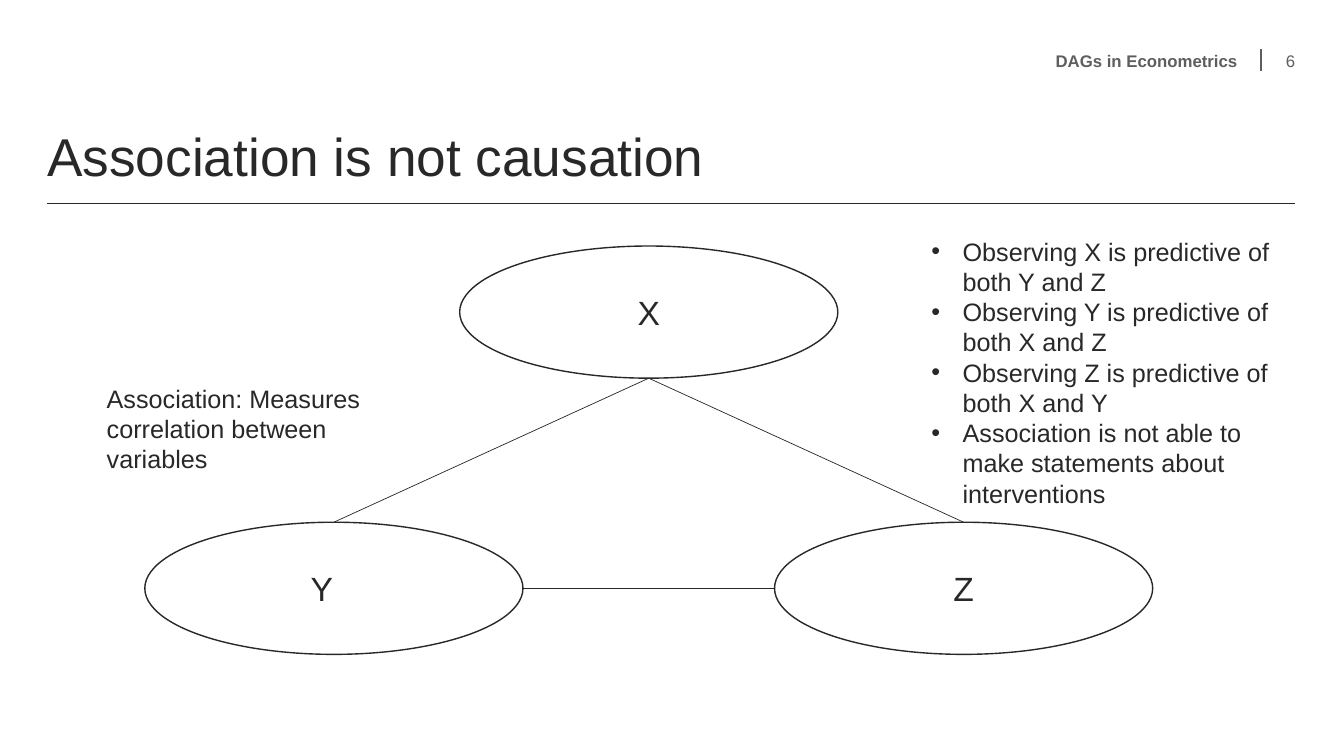
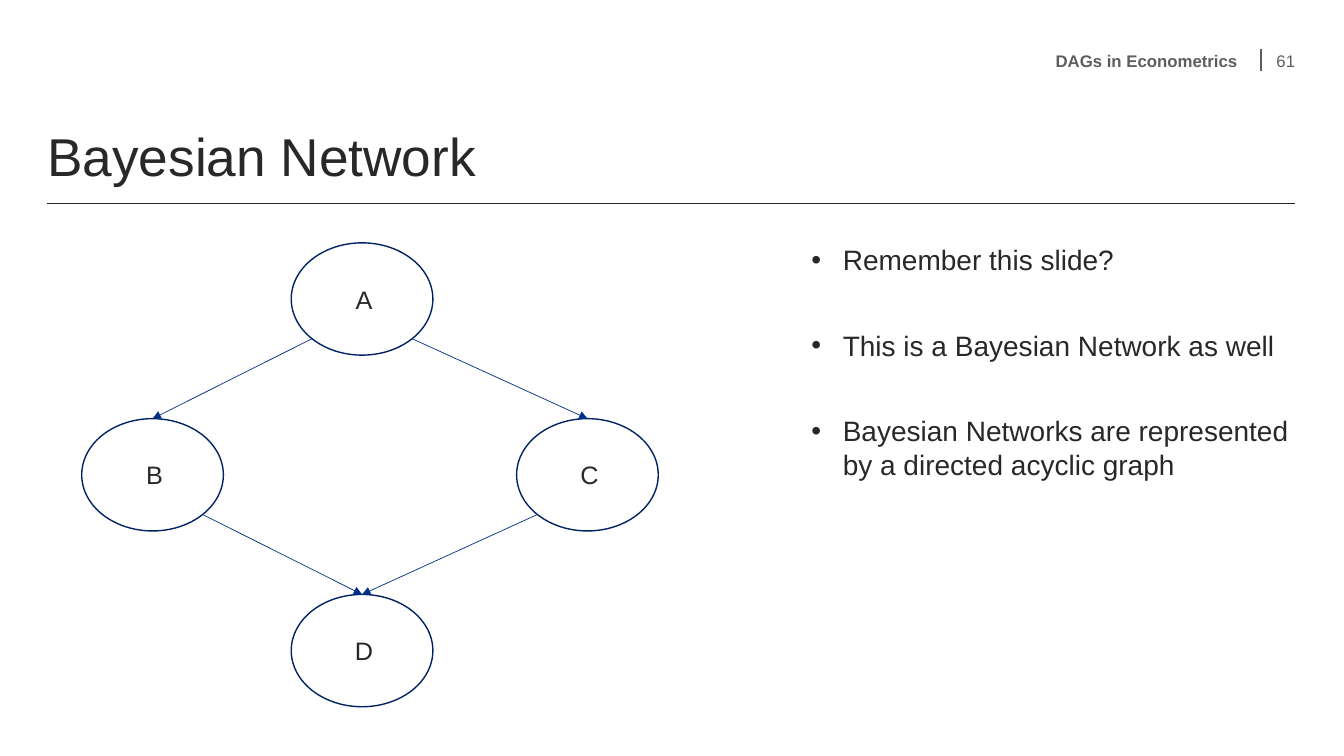
import math

from lxml import etree
from pptx import Presentation
from pptx import util as u
from pptx.dml.color import RGBColor
from pptx.enum import shapes, text
from pptx.oxml import ns

COLOURS = {
    "ink": "282828",
    "grey": "5E5E5E",
    "paper": "FFFFFF",
    "navy": "002363",
    "blue": "002F86",
}
FONT = "Arial"
SITES = {"top": 0, "left": 2, "bottom left": 3, "bottom": 4, "bottom right": 5, "right": 6}
MARGIN, CONTENT_WIDTH = 1.19, 31.45
BULLET_INDENT = 0.79


def colour(name):
    return RGBColor.from_string(COLOURS[name])


def cm_box(*lengths):
    return [u.Cm(length) for length in lengths]


def add_child(parent, tag, **attributes):
    return etree.SubElement(parent, ns.qn(tag), attributes)


def format_text(frame, size, colour_name="ink", bold=False, align=text.PP_ALIGN.LEFT):
    for paragraph in frame.paragraphs:
        paragraph.alignment = align
        for run in paragraph.runs:
            run.font.name = FONT
            run.font.size = u.Pt(size)
            run.font.bold = bold
            run.font.color.rgb = colour(colour_name)


def set_frame(frame, anchor, inset):
    frame.word_wrap = True
    frame.auto_size = text.MSO_AUTO_SIZE.NONE
    frame.vertical_anchor = anchor
    frame.margin_left = frame.margin_right = u.Cm(inset)
    frame.margin_top = frame.margin_bottom = u.Cm(inset / 2)


def add_text(slide, box, lines, size, anchor=text.MSO_ANCHOR.TOP, inset=0.0, **style):
    frame = slide.shapes.add_textbox(*cm_box(*box)).text_frame
    set_frame(frame, anchor, inset)
    frame.text = "\n".join(lines)
    format_text(frame, size, **style)
    return frame


def add_bullets(slide, box, lines, size, inset=0.0, gap=0):
    frame = add_text(slide, box, lines, size, inset=inset)
    indent = u.Cm(BULLET_INDENT)
    for paragraph in frame.paragraphs:
        paragraph.space_after = u.Pt(gap)
        properties = paragraph._p.get_or_add_pPr()
        properties.set("marL", str(indent))
        properties.set("indent", str(-indent))
        add_child(properties, "a:buFont", typeface=FONT)
        add_child(properties, "a:buChar", char="•")


def add_line(slide, start, end, colour_name, width):
    line = slide.shapes.add_connector(
        shapes.MSO_CONNECTOR.STRAIGHT, *cm_box(*start, *end))
    line.line.color.rgb = colour(colour_name)
    line.line.width = u.Pt(width)
    add_child(line._element.spPr, "a:effectLst")
    return line


def add_node(slide, box, label, size, outline, fill=None, nudge=0.0):
    node = slide.shapes.add_shape(shapes.MSO_SHAPE.OVAL, *cm_box(*box))
    node.shadow.inherit = False
    if fill:
        node.fill.solid()
        node.fill.fore_color.rgb = colour(fill)
    else:
        node.fill.background()
    node.line.color.rgb = colour(outline)
    node.line.width = u.Pt(1)
    frame = node.text_frame
    set_frame(frame, text.MSO_ANCHOR.MIDDLE, 0)
    frame.margin_left = u.Cm(max(2 * nudge, 0))
    frame.margin_right = u.Cm(max(-2 * nudge, 0))
    frame.text = label
    format_text(frame, size, align=text.PP_ALIGN.CENTER)
    return node


def site_point(node, site):
    angle = math.radians(-90 - 45 * SITES[site])
    x = node.left + node.width / 2 * (1 + math.cos(angle))
    y = node.top + node.height / 2 * (1 + math.sin(angle))
    return u.Emu(int(x)).cm, u.Emu(int(y)).cm


def join_nodes(slide, source, source_site, target, target_site, colour_name, arrow=False):
    edge = add_line(slide, site_point(source, source_site),
                    site_point(target, target_site), colour_name, 0.5)
    if arrow:
        add_child(edge.line._get_or_add_ln(), "a:tailEnd", type="triangle")
    glue = edge._element.nvCxnSpPr.cNvCxnSpPr
    ends = (("a:stCxn", source, source_site), ("a:endCxn", target, target_site))
    for tag, node, site in ends:
        add_child(glue, tag, id=str(node.shape_id), idx=str(SITES[site]))


def add_header(slide, number):
    middle, right = text.MSO_ANCHOR.MIDDLE, text.PP_ALIGN.RIGHT
    add_text(slide, (11.23, 1.24, 19.96, 0.58), ["DAGs in Econometrics"], 12,
             anchor=middle, colour_name="grey", bold=True, align=right)
    add_line(slide, (31.78, 1.24), (31.78, 1.8), "grey", 1)
    add_text(slide, (31.9, 1.24, 0.74, 0.58), [number], 12,
             anchor=middle, colour_name="grey", align=right)


def start_slide(presentation, title, number):
    slide = presentation.slides.add_slide(presentation.slide_layouts[5])
    heading = slide.shapes.title
    heading.left, heading.top, heading.width, heading.height = cm_box(
        MARGIN, 3.18, CONTENT_WIDTH, 1.55)
    set_frame(heading.text_frame, text.MSO_ANCHOR.BOTTOM, 0)
    heading.text_frame.text = title
    heading.text_frame.paragraphs[0].line_spacing = 0.9
    format_text(heading.text_frame, 38)
    add_line(slide, (MARGIN, 5.13), (MARGIN + CONTENT_WIDTH, 5.13), "ink", 1)
    add_header(slide, number)
    return slide


def add_triangle(slide, left, top, width, height):
    node_width, node_height = 9.53, 3.33
    base = top + height - node_height
    places = {
        "X": (left + (width - node_width) / 2, top, 0),
        "Y": (left, base, -0.3),
        "Z": (left + width - node_width, base, 0),
    }
    nodes = {
        label: add_node(slide, (x, y, node_width, node_height), label, 24,
                        "ink", fill="paper", nudge=nudge)
        for label, (x, y, nudge) in places.items()
    }
    join_nodes(slide, nodes["X"], "bottom", nodes["Y"], "top", "ink")
    join_nodes(slide, nodes["X"], "bottom", nodes["Z"], "top", "ink")
    join_nodes(slide, nodes["Y"], "right", nodes["Z"], "left", "ink")


def add_diamond(slide, left, top, width, height):
    node_width, node_height = 3.57, 2.83
    centre = left + 5.28
    middle = top + (height - node_height) / 2
    places = {
        "A": (centre, top),
        "B": (left, middle),
        "C": (left + width - node_width, middle),
        "D": (centre, top + height - node_height),
    }
    nodes = {
        label: add_node(slide, (x, y, node_width, node_height), label, 18,
                        "navy", nudge=0.05)
        for label, (x, y) in places.items()
    }
    edges = (
        ("A", "bottom left", "B"),
        ("A", "bottom right", "C"),
        ("C", "bottom left", "D"),
        ("B", "bottom right", "D"),
    )
    for source, site, target in edges:
        join_nodes(slide, nodes[source], site, nodes[target], "top", "blue", arrow=True)


def build_association(presentation):
    slide = start_slide(presentation, "Association is not causation", "6")
    add_triangle(slide, 3.65, 6.2, 25.4, 10.29)
    add_text(slide, (2.44, 9.53, 8.5, 2.4),
             ["Association: Measures correlation between variables"], 18, inset=0.25)
    add_bullets(slide, (23.22, 5.82, 9.53, 7.1), [
        "Observing X is predictive of both Y and Z",
        "Observing Y is predictive of both X and Z",
        "Observing Z is predictive of both X and Y",
        "Association is not able to make statements about interventions",
    ], 18, inset=0.25)


def build_network(presentation):
    slide = start_slide(presentation, "Bayesian Network", "61")
    add_bullets(slide, (20.45, 6.12, 12.19, 11.68), [
        "Remember this slide?",
        "This is a Bayesian Network as well",
        "Bayesian Networks are represented by a directed acyclic graph",
    ], 20, gap=37)
    add_diamond(slide, 2.06, 6.12, 14.53, 11.69)


def main():
    presentation = Presentation()
    presentation.slide_width = u.Cm(33.87)
    presentation.slide_height = u.Cm(19.05)
    build_association(presentation)
    build_network(presentation)
    presentation.save("out.pptx")


if __name__ == "__main__":
    main()
